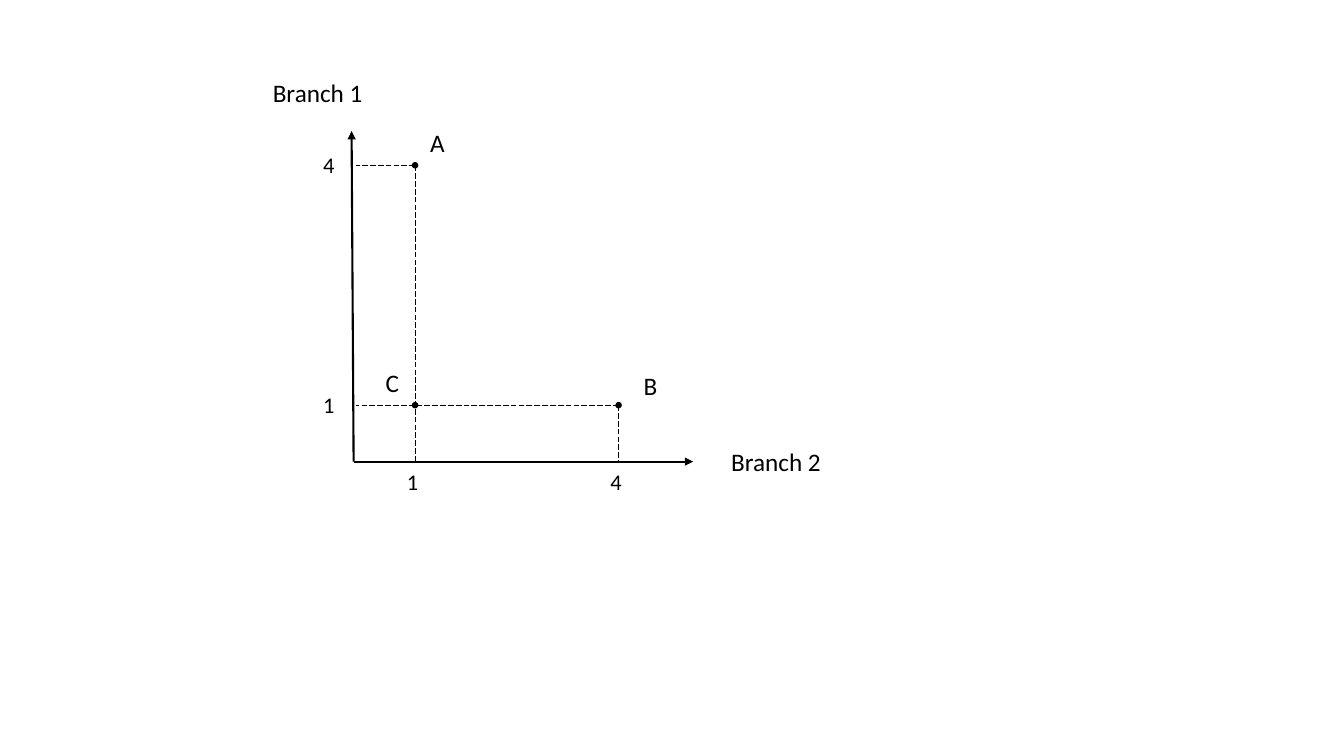
from lxml import etree
from pptx import Presentation
from pptx.dml.color import RGBColor
from pptx.enum.dml import MSO_LINE
from pptx.enum.shapes import MSO_CONNECTOR, MSO_SHAPE
from pptx.oxml.ns import qn
from pptx.util import Inches, Pt

STRAIGHT = MSO_CONNECTOR.STRAIGHT
OVAL = MSO_SHAPE.OVAL
LONG_DASH = MSO_LINE.LONG_DASH
BLACK = RGBColor(0, 0, 0)
FONT = "Calibri"

CELL = Inches(0.1)
PLOT = (35.1, 13, 33.7, 32.8)
COLUMN = {1: 6.1, 4: 26.3}
ROW = {1: 5.6, 4: 29.4}
POINTS = [
    ("A", 1, 4, 0.5, -4.3, True),
    ("B", 4, 1, 1.5, -4.0, True),
    ("C", 1, 1, -3.9, -4.3, False),
]
DOT = 0.5


def grid(*cells):
    return [round(c * CELL) for c in cells]


def add_line(s, x1, y1, x2, y2, width, dash=None, arrow=False):
    c = s.shapes.add_connector(STRAIGHT, *grid(x1, y1, x2, y2))
    c.line.color.rgb = BLACK
    c.line.width = Pt(width)
    if dash:
        c.line.dash_style = dash
    if arrow:
        etree.SubElement(c.line._get_or_add_ln(), qn("a:tailEnd"), type="triangle")
    etree.SubElement(c._element.spPr, qn("a:effectLst"))


def add_label(s, text, x, y, w=3.4, h=4, size=18):
    tf = s.shapes.add_textbox(*grid(x, y, w, h)).text_frame
    tf.word_wrap = True
    r = tf.paragraphs[0].add_run()
    r.text = text
    r.font.name = FONT
    r.font.size = Pt(size)
    r.font.color.rgb = BLACK


def add_dot(s, x, y):
    sp = s.shapes.add_shape(OVAL, *grid(x - DOT / 2, y - DOT / 2, DOT, DOT))
    sp.shadow.inherit = False
    sp.fill.solid()
    sp.fill.fore_color.rgb = BLACK
    sp.line.color.rgb = BLACK
    sp.line.width = Pt(1)


def add_axes(s, left, top, width, height):
    right, base = left + width, top + height
    add_line(s, left, base, left - 0.2, top, 1.5, arrow=True)
    add_line(s, left, base, right, base, 1.5, arrow=True)
    add_label(s, "Branch 1", left - 9, top - 5.8, w=13)
    add_label(s, "Branch 2", right + 2.8, base - 2, w=13)
    for value, column in COLUMN.items():
        add_label(s, str(value), left + column - 1.8, base + 0.2, h=3.7, size=16)
    for value, row in ROW.items():
        add_label(s, str(value), left - 4, base - row - 1.9, h=3.7, size=16)


def add_points(s, left, top, width, height):
    base = top + height
    for name, column, row, dx, dy, guides in POINTS:
        x, y = left + COLUMN[column], base - ROW[row]
        if guides:
            add_line(s, x, y, x, base, 0.5, LONG_DASH)
            add_line(s, x, y, left + 0.2, y, 0.5, LONG_DASH)
        add_dot(s, x, y)
        add_label(s, name, x + dx, y + dy)


def main():
    prs = Presentation()
    prs.slide_width, prs.slide_height = Inches(13.34), Inches(7.5)
    s = prs.slides.add_slide(prs.slide_layouts[6])
    add_axes(s, *PLOT)
    add_points(s, *PLOT)
    prs.save("out.pptx")


if __name__ == "__main__":
    main()
